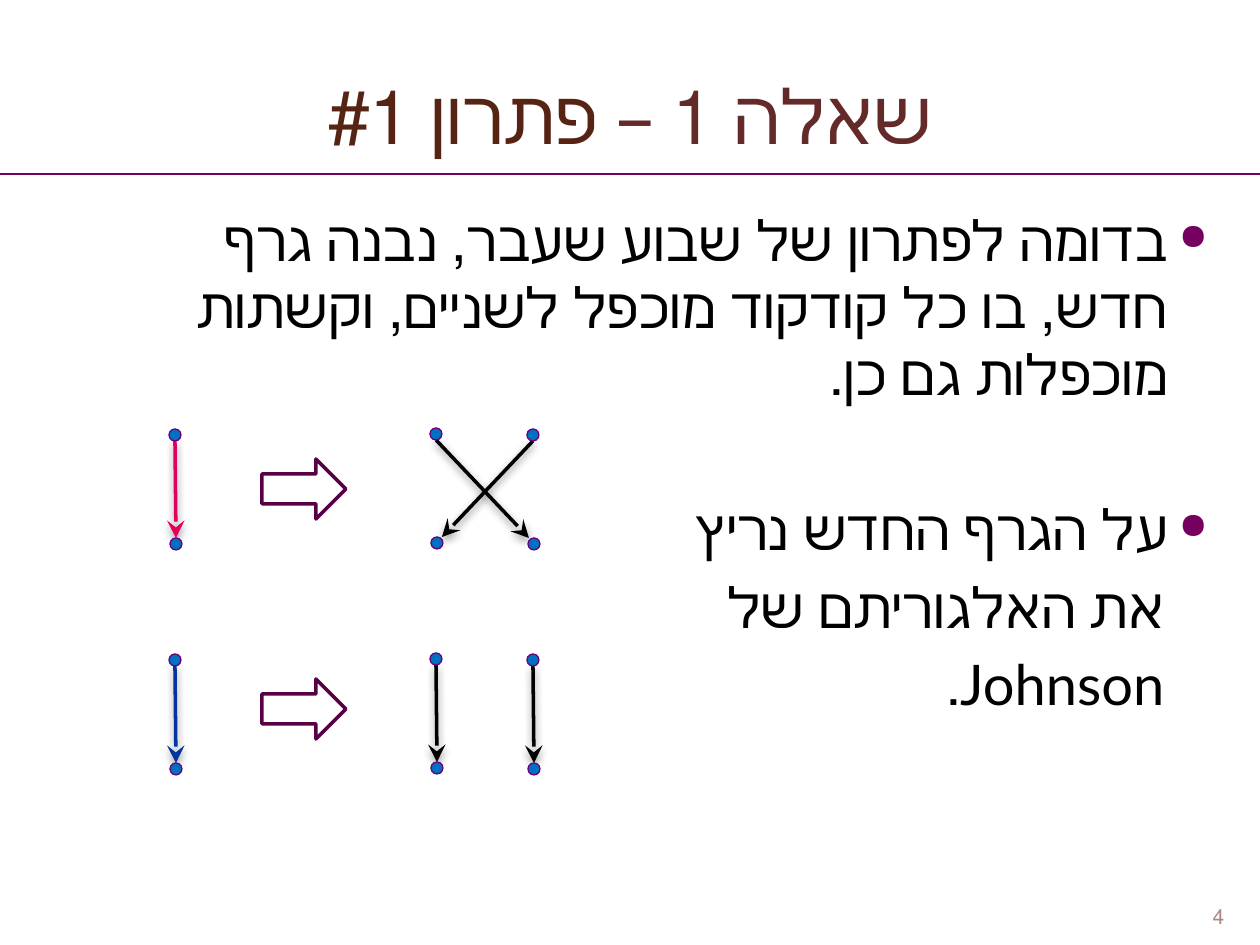
from lxml.etree import SubElement
from pptx import Presentation
from pptx.dml.color import RGBColor
from pptx.enum.shapes import MSO_CONNECTOR, MSO_SHAPE
from pptx.enum.text import MSO_ANCHOR, PP_ALIGN
from pptx.oxml.ns import qn
from pptx.util import Emu, Pt

PX = 914400 // 126
COLORS = {
    "title": "642A2A", "title_end": "572314", "rule": "75005F", "text": "000000",
    "red": "E40059", "blue": "00349E", "black": "000000", "dot": "0070C0",
    "dot_line": "68007F", "arrow": "570046", "white": "FFFFFF", "number": "AF8888",
}
FONT = "Lato"
TITLE = [("שאלה 1 – ", "title"), ("פתרון #1", "title_end")]
# text, bulleted, space before in points
BODY = [
    ("בדומה לפתרון של שבוע שעבר, נבנה גרף חדש, בו כל קודקוד מוכפל לשניים, וקשתות מוכפלות גם כן.", True, 0),
    ("על הגרף החדש נריץ", True, 50),
    ("את האלגוריתם של", False, 6),
    ("Johnson.", False, 6),
]
SLIDE_NUMBER = "4"

# Upper dot of each vertex pair; the lower dot is shifted by PAIR_STEP
SOURCE, LEFT_COPY, RIGHT_COPY = (169, 429), (430, 428), (527, 429)
PAIR_STEP = (1, 109)
DOT = 12
# top shift, edges as (from column, to column, colour)
GRAPHS = [
    (0, [(SOURCE, SOURCE, "red"), (LEFT_COPY, RIGHT_COPY, "black"), (RIGHT_COPY, LEFT_COPY, "black")]),
    (225, [(SOURCE, SOURCE, "blue"), (LEFT_COPY, LEFT_COPY, "black"), (RIGHT_COPY, RIGHT_COPY, "black")]),
]
ARROW_TOPS = [459, 679]


def px(*lengths):
    return [Emu(round(length * PX)) for length in lengths]


def color(name):
    return RGBColor.from_string(COLORS[name])


def add_box(slide, box, anchor):
    frame = slide.shapes.add_textbox(*px(*box)).text_frame
    frame.word_wrap = True
    frame.vertical_anchor = anchor
    return frame


def set_rtl(paragraph, align):
    paragraph.alignment = align
    properties = paragraph._p.get_or_add_pPr()
    properties.set("rtl", "1")
    return properties


def style_run(run, size, color_name):
    run.font.size = Pt(size)
    run.font.name = FONT
    run.font.color.rgb = color(color_name)


def add_line(slide, start, end, color_name, width):
    line = slide.shapes.add_connector(MSO_CONNECTOR.STRAIGHT, *px(*start, *end))
    line.line.color.rgb = color(color_name)
    line.line.width = Pt(width)
    return line, SubElement(line._element.spPr, qn("a:effectLst"))


def add_edge(slide, start, end, color_name):
    """Line with a stealth head and a soft shadow below it."""
    line, effects = add_line(slide, start, end, color_name, 2)
    SubElement(line.line._get_or_add_ln(), qn("a:tailEnd"), type="stealth", w="lg", len="lg")
    shadow = SubElement(effects, qn("a:outerShdw"), blurRad=str(Pt(5)), dist=str(Pt(2)),
                        dir="5400000", rotWithShape="0")
    shade = SubElement(shadow, qn("a:srgbClr"), val=COLORS["black"])
    SubElement(shade, qn("a:alpha"), val="43000")


def add_filled(slide, kind, box, fill, line, width):
    shape = slide.shapes.add_shape(kind, *px(*box))
    shape.shadow.inherit = False
    shape.fill.solid()
    shape.fill.fore_color.rgb = color(fill)
    shape.line.color.rgb = color(line)
    shape.line.width = Pt(width)


def add_title(slide):
    paragraph = add_box(slide, (0, 45, 1260, 139), MSO_ANCHOR.MIDDLE).paragraphs[0]
    set_rtl(paragraph, PP_ALIGN.CENTER)
    for text, color_name in TITLE:
        run = paragraph.add_run()
        run.text = text
        style_run(run, 43, color_name)


def add_body(slide):
    frame = add_box(slide, (74, 199, 1157, 352), MSO_ANCHOR.TOP)
    frame.text = "\n".join(text for text, _, _ in BODY)
    bullet_margin, plain_margin, hanging = px(50, 54, -39)
    for paragraph, (_, bulleted, before) in zip(frame.paragraphs, BODY):
        properties = set_rtl(paragraph, PP_ALIGN.RIGHT)
        properties.set("marL", str(bullet_margin if bulleted else plain_margin))
        properties.set("indent", str(hanging if bulleted else 0))
        paragraph.space_before = Pt(before)
        if bulleted:
            bullet_color = SubElement(properties, qn("a:buClr"))
            SubElement(bullet_color, qn("a:srgbClr"), val=COLORS["rule"])
            SubElement(properties, qn("a:buSzPct"), val="65000")
            SubElement(properties, qn("a:buChar"), char="●")
        style_run(paragraph.runs[0], 32, "text")


def add_graph(slide, shift, edges):
    step_x, step_y = PAIR_STEP
    for (from_x, from_y), (to_x, to_y), color_name in edges:
        inward = 5 * ((to_x < from_x) - (to_x > from_x))
        start = (from_x + 6, from_y + shift + DOT)
        end = (to_x + step_x + 6 + inward, to_y + step_y + shift)
        add_edge(slide, start, end, color_name)
    for x, y in (SOURCE, LEFT_COPY, RIGHT_COPY):
        for dot_x, dot_y in ((x, y), (x + step_x, y + step_y)):
            add_filled(slide, MSO_SHAPE.OVAL, (dot_x, dot_y + shift, DOT, DOT), "dot", "dot_line", 0.75)


def main():
    prs = Presentation()
    prs.slide_width, prs.slide_height = px(1260, 945)
    slide = prs.slides.add_slide(prs.slide_layouts[6])

    add_title(slide)
    add_line(slide, (0, 174), (1260, 174), "rule", 0.75)
    add_body(slide)
    for shift, edges in GRAPHS:
        add_graph(slide, shift, edges)
    for top in ARROW_TOPS:
        add_filled(slide, MSO_SHAPE.RIGHT_ARROW, (262, top, 84, 60), "white", "arrow", 2)

    number = add_box(slide, (1187, 869, 63, 66), MSO_ANCHOR.BOTTOM)
    number.text = SLIDE_NUMBER
    set_rtl(number.paragraphs[0], PP_ALIGN.CENTER)
    style_run(number.paragraphs[0].runs[0], 12, "number")

    prs.save("out.pptx")


if __name__ == "__main__":
    main()
